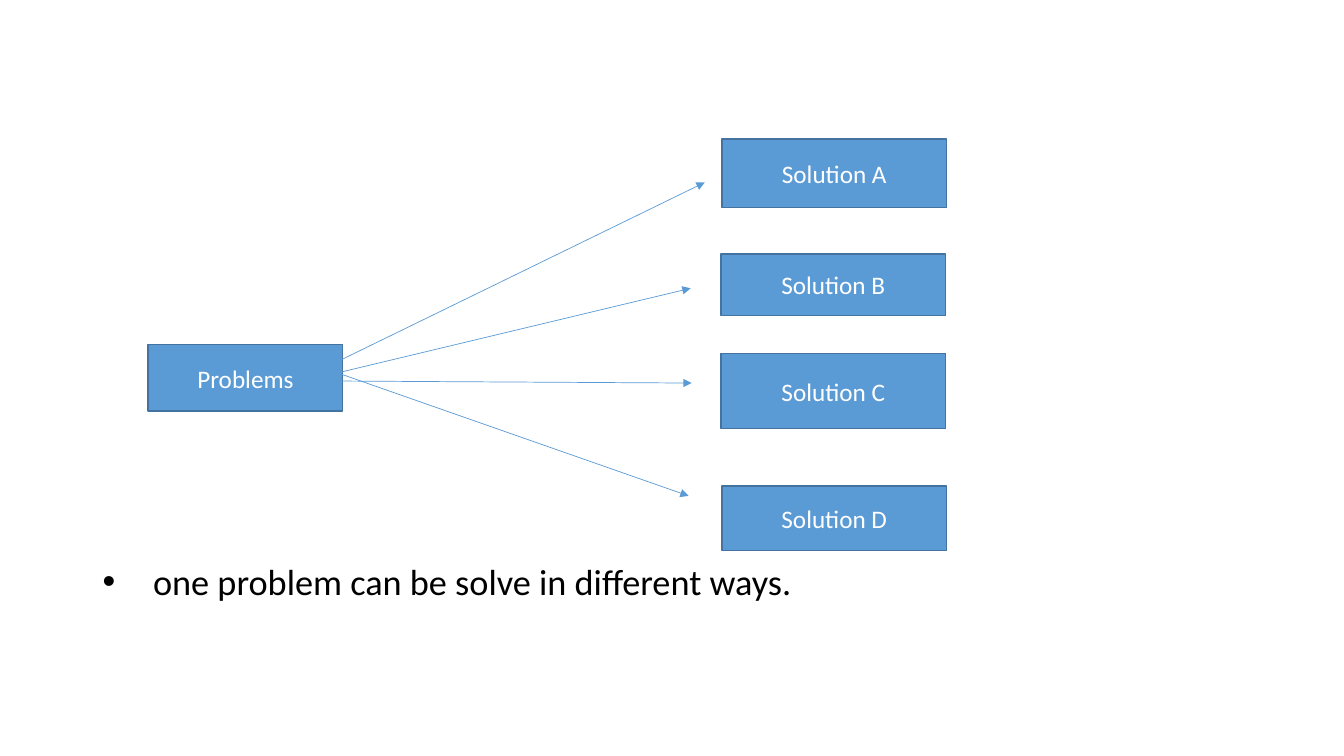
from dataclasses import dataclass

import pptx
import pptx.dml.color
import pptx.enum.shapes
import pptx.enum.text
import pptx.oxml
import pptx.oxml.ns
import pptx.slide
import pptx.text.text
import pptx.util
from pptx.util import Inches

FONT = "Calibri"
BLUE = "5B9BD5"
BORDER = "43739E"
WHITE = "FFFFFF"
BLACK = "000000"


@dataclass
class Box:
    label: str
    left: float
    top: float
    width: float
    height: float


@dataclass
class Arrow:
    start: tuple[float, float]
    end: tuple[float, float]


SOLUTION_WIDTH = 2.23
BOXES = [
    Box("Problems", 1.47, 3.42, 1.93, 0.66),
    Box("Solution A", 7.16, 1.38, SOLUTION_WIDTH, 0.68),
    Box("Solution B", 7.15, 2.52, SOLUTION_WIDTH, 0.61),
    Box("Solution C", 7.15, 3.51, SOLUTION_WIDTH, 0.74),
    Box("Solution D", 7.16, 4.82, SOLUTION_WIDTH, 0.64),
]
ARROWS = [
    Arrow((3.24, 3.64), (6.99, 1.81)),
    Arrow((3.22, 3.73), (6.85, 2.86)),
    Arrow((3.33, 3.78), (6.86, 3.80)),
    Arrow((3.35, 3.70), (6.83, 4.92)),
]


def color(value: str) -> pptx.dml.color.RGBColor:
    return pptx.dml.color.RGBColor.from_string(value)


def format_runs(paragraph: pptx.text.text._Paragraph, size: float, text_color: str) -> None:
    for run in paragraph.runs:
        run.font.name = FONT
        run.font.size = pptx.util.Pt(size)
        run.font.color.rgb = color(text_color)


def add_box(slide: pptx.slide.Slide, box: Box) -> None:
    shape = slide.shapes.add_shape(
        pptx.enum.shapes.MSO_SHAPE.RECTANGLE,
        Inches(box.left), Inches(box.top), Inches(box.width), Inches(box.height),
    )
    shape.shadow.inherit = False
    shape.fill.solid()
    shape.fill.fore_color.rgb = color(BLUE)
    shape.line.color.rgb = color(BORDER)
    shape.line.width = pptx.util.Pt(1)
    shape.text_frame.text = box.label
    shape.text_frame.vertical_anchor = pptx.enum.text.MSO_ANCHOR.MIDDLE
    paragraph = shape.text_frame.paragraphs[0]
    paragraph.alignment = pptx.enum.text.PP_ALIGN.CENTER
    format_runs(paragraph, 18, WHITE)


def add_arrow(slide: pptx.slide.Slide, arrow: Arrow) -> None:
    connector = slide.shapes.add_connector(
        pptx.enum.shapes.MSO_CONNECTOR.STRAIGHT,
        *map(Inches, arrow.start + arrow.end),
    )
    connector.line.color.rgb = color(BLUE)
    connector.line.width = pptx.util.Pt(0.5)
    # Arrowhead at the end, no shadow
    namespace = pptx.oxml.ns.nsdecls("a")
    connector.line._get_or_add_ln().append(
        pptx.oxml.parse_xml(f'<a:tailEnd {namespace} type="triangle"/>'))
    connector._element.spPr.append(pptx.oxml.parse_xml(f"<a:effectLst {namespace}/>"))


def add_bullet(slide: pptx.slide.Slide, text: str) -> None:
    shape = slide.shapes.add_textbox(Inches(0.92), Inches(5.5), Inches(11.5), Inches(0.6))
    shape.text_frame.word_wrap = True
    shape.text_frame.text = text
    paragraph = shape.text_frame.paragraphs[0]
    format_runs(paragraph, 25.9, BLACK)
    # Hanging indent and bullet
    properties = paragraph._p.get_or_add_pPr()
    properties.set("marL", str(Inches(0.5)))
    properties.set("indent", str(Inches(-0.5)))
    namespace = pptx.oxml.ns.nsdecls("a")
    properties.append(pptx.oxml.parse_xml(f'<a:buFont {namespace} typeface="Arial"/>'))
    properties.append(pptx.oxml.parse_xml(f'<a:buChar {namespace} char="•"/>'))


def main() -> None:
    presentation = pptx.Presentation()
    presentation.slide_width = Inches(13.33)
    presentation.slide_height = Inches(7.5)
    slide = presentation.slides.add_slide(presentation.slide_layouts[6])

    # Conclusion below the diagram
    add_bullet(slide, "one problem can be solve in different ways.")

    # Problem, its solutions and the arrows between them
    for box in BOXES:
        add_box(slide, box)
    for arrow in ARROWS:
        add_arrow(slide, arrow)

    presentation.save("out.pptx")


if __name__ == "__main__":
    main()
